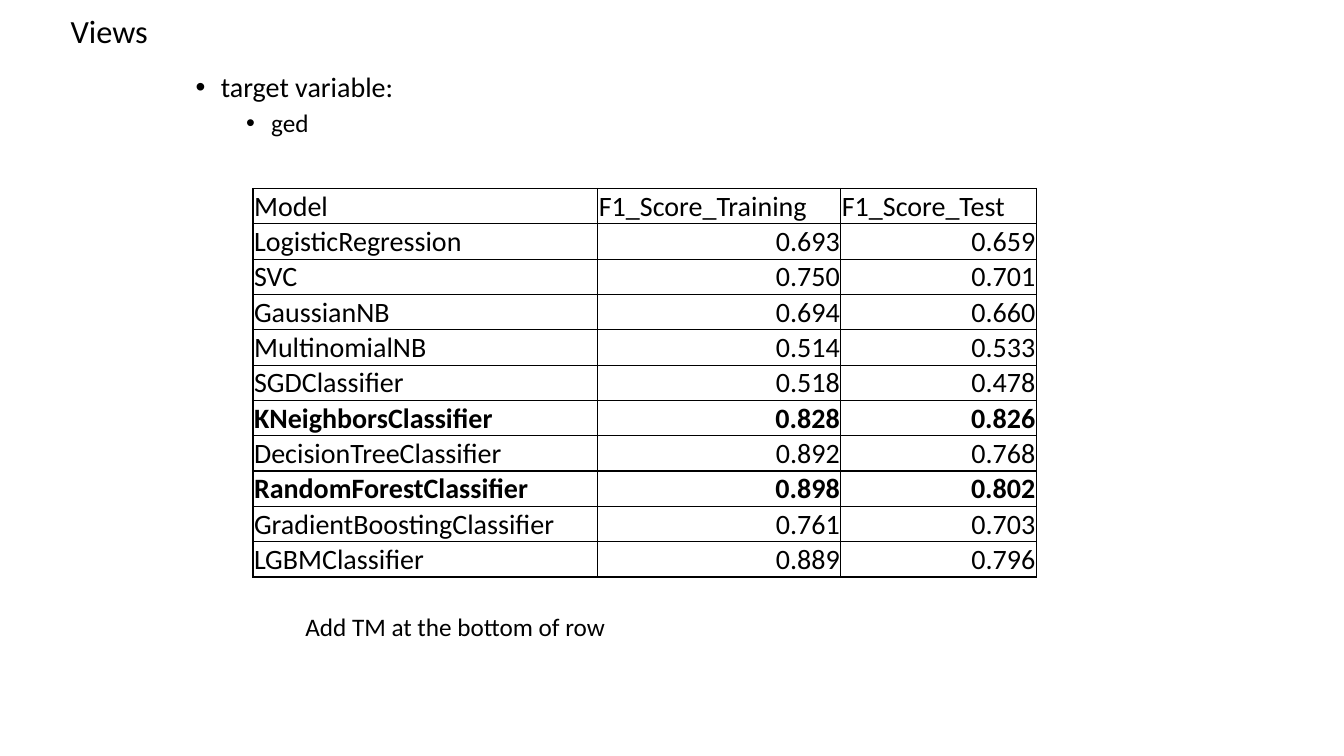
from lxml import etree
from pptx import Presentation
from pptx.dml.color import RGBColor
from pptx.enum.text import MSO_ANCHOR, MSO_AUTO_SIZE, PP_ALIGN
from pptx.oxml.ns import qn
from pptx.util import Inches, Pt

LEFT, RIGHT = PP_ALIGN.LEFT, PP_ALIGN.RIGHT
TOP, MIDDLE, BOTTOM = MSO_ANCHOR.TOP, MSO_ANCHOR.MIDDLE, MSO_ANCHOR.BOTTOM
NO_FIT, GROW = MSO_AUTO_SIZE.NONE, MSO_AUTO_SIZE.SHAPE_TO_FIT_TEXT

FONT = "Calibri"
BLACK = "000000"
TITLE = "Views"
# text, outline level, size, indent
BULLETS = [("target variable:", 2, 20, 1.25), ("ged", 3, 18, 1.75)]
HEADER = ("Model", "F1_Score_Training", "F1_Score_Test")
SCORES = [
    ("LogisticRegression", 0.693, 0.659),
    ("SVC", 0.750, 0.701),
    ("GaussianNB", 0.694, 0.660),
    ("MultinomialNB", 0.514, 0.533),
    ("SGDClassifier", 0.518, 0.478),
    ("KNeighborsClassifier", 0.828, 0.826),
    ("DecisionTreeClassifier", 0.892, 0.768),
    ("RandomForestClassifier", 0.898, 0.802),
    ("GradientBoostingClassifier", 0.761, 0.703),
    ("LGBMClassifier", 0.889, 0.796),
]
BEST_MODELS = {"KNeighborsClassifier", "RandomForestClassifier"}
NOTE = "Add TM at the bottom of row"
COLUMN_WIDTHS = (3.42, 2.41, 1.94)
ROW_HEIGHT = 0.35


def color(hex_string):
    return RGBColor.from_string(hex_string)


def add_span(para, text, size, bold=False):
    span = para.add_run()
    span.text = text
    span.font.name = FONT
    span.font.size = Pt(size)
    span.font.bold = bold
    span.font.color.rgb = color(BLACK)


def place(shape, left, top, width, height):
    shape.left, shape.top = Inches(left), Inches(top)
    shape.width, shape.height = Inches(width), Inches(height)


def set_bullet(para, indent):
    properties = para._p.get_or_add_pPr()
    properties.set("marL", str(Inches(indent)))
    properties.set("indent", str(Inches(-0.25)))
    etree.SubElement(properties, qn("a:buFont"), typeface="Arial")
    etree.SubElement(properties, qn("a:buChar"), char="•")


def set_borders(cell):
    properties = cell._tc.get_or_add_tcPr()
    for position, side in enumerate(("lnL", "lnR", "lnT", "lnB")):
        line = etree.Element(qn("a:" + side), w=str(Pt(1)))
        fill = etree.SubElement(line, qn("a:solidFill"))
        etree.SubElement(fill, qn("a:srgbClr"), val=BLACK)
        properties.insert(position, line)


def add_title(slide):
    title = slide.shapes.title
    place(title, 0.6, 0.15, 12.14, 0.41)
    frame = title.text_frame
    frame.auto_size = NO_FIT
    frame.vertical_anchor = MIDDLE
    para = frame.paragraphs[0]
    para.alignment = LEFT
    para.line_spacing = 0.7
    add_span(para, TITLE, 23.1)


def add_bullets(slide):
    body = slide.placeholders[1]
    place(body, 0.84, 0.68, 11.5, 6.73)
    frame = body.text_frame
    frame.auto_size = NO_FIT
    frame.vertical_anchor = TOP
    for index, (text, level, size, indent) in enumerate(BULLETS):
        para = frame.add_paragraph() if index else frame.paragraphs[0]
        set_bullet(para, indent)
        para.level = level
        para.line_spacing = 0.9
        para.space_before = Pt(5 if index else 0)
        add_span(para, text, size)


def add_score_table(slide):
    rows = [HEADER] + [
        (model, f"{training:.3f}", f"{test:.3f}") for model, training, test in SCORES
    ]
    table = slide.shapes.add_table(
        len(rows), len(HEADER), Inches(2.51), Inches(1.87),
        Inches(sum(COLUMN_WIDTHS)), Inches(ROW_HEIGHT * len(rows)),
    ).table
    table.first_row = table.horz_banding = False
    for column, width in zip(table.columns, COLUMN_WIDTHS):
        column.width = Inches(width)
    for row_index, row in enumerate(rows):
        table.rows[row_index].height = Inches(ROW_HEIGHT)
        for column_index, text in enumerate(row):
            cell = table.cell(row_index, column_index)
            cell.fill.background()
            set_borders(cell)
            cell.vertical_anchor = BOTTOM
            cell.margin_left = cell.margin_right = cell.margin_top = Inches(0.01)
            cell.margin_bottom = 0
            para = cell.text_frame.paragraphs[0]
            para.alignment = RIGHT if row_index and column_index else LEFT
            add_span(para, text, 20, row[0] in BEST_MODELS)


def add_note(slide):
    box = slide.shapes.add_textbox(Inches(2.93), Inches(6.02), Inches(3.22), Inches(0.4))
    box.text_frame.word_wrap = False
    box.text_frame.auto_size = GROW
    add_span(box.text_frame.paragraphs[0], NOTE, 18)


def main():
    deck = Presentation()
    deck.slide_width, deck.slide_height = Inches(13.33), Inches(7.5)
    page = deck.slides.add_slide(deck.slide_layouts[1])
    add_title(page)
    add_bullets(page)
    add_score_table(page)
    add_note(page)
    deck.save("out.pptx")


if __name__ == "__main__":
    main()
